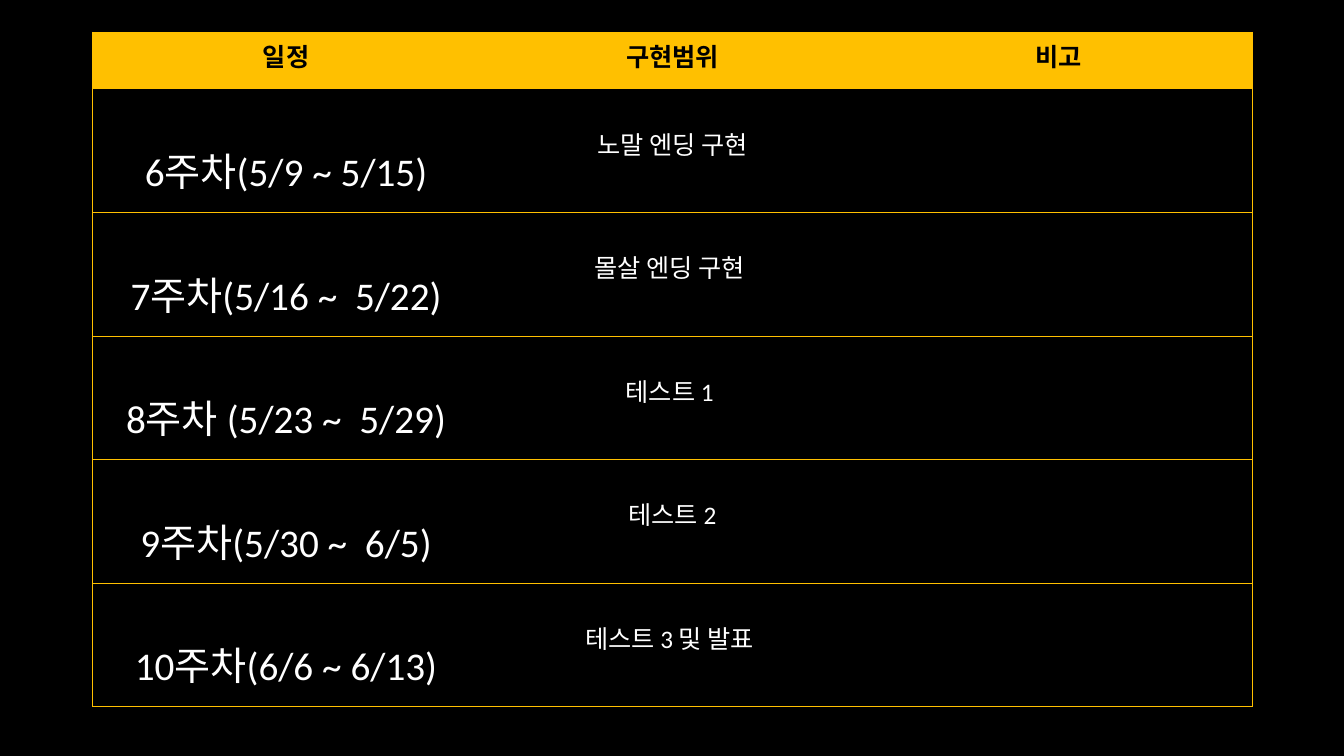
from lxml import etree
from pptx import Presentation
from pptx.dml.color import RGBColor
from pptx.enum import text
from pptx.oxml import ns
from pptx.util import Inches, Pt

GOLD, BLACK, WHITE = "FFC000", "000000", "FFFFFF"
ROWS = [
    ("일정", "구현범위", "비고"),
    ("6주차(5/9 ~ 5/15)", "노말 엔딩 구현", ""),
    ("7주차(5/16 ~  5/22)", "몰살 엔딩 구현 ", ""),
    ("8주차 (5/23 ~  5/29)", "테스트 1 ", ""),
    ("9주차(5/30 ~  6/5)", "테스트 2", ""),
    ("10주차(6/6 ~ 6/13)", "테스트 3 및 발표 ", ""),
]
COLUMN_SIZES = [28, 18, 18]
COLUMN_TOPS = [0.52, 0.36, 0.05]


def paint(fill, color):
    fill.solid()
    fill.fore_color.rgb = RGBColor.from_string(color)


def set_borders(cell, sides):
    """Draw gold hairlines on the named sides (L, R, T, B) and none on the others."""
    properties = cell._tc.get_or_add_tcPr()
    for place, side in enumerate("LRTB"):
        line = etree.Element(ns.qn("a:ln" + side), w=str(Pt(0.5)))
        if side in sides:
            solid = etree.SubElement(line, ns.qn("a:solidFill"))
            etree.SubElement(solid, ns.qn("a:srgbClr"), val=GOLD)
        else:
            etree.SubElement(line, ns.qn("a:noFill"))
        properties.insert(place, line)


deck = Presentation()
deck.slide_width, deck.slide_height = Inches(13.33), Inches(7.5)
page = deck.slides.add_slide(deck.slide_layouts[6])
paint(page.background.fill, BLACK)

frame = page.shapes.add_table(len(ROWS), 3, Inches(0.92), Inches(0.32), Inches(11.5), Inches(6.69))
schedule = frame.table
schedule.horz_banding = False
for column in schedule.columns:
    column.width = Inches(11.5 / 3)

for row, labels in enumerate(ROWS):
    header = row == 0
    schedule.rows[row].height = Inches(0.56 if header else 1.226)
    for column, label in enumerate(labels):
        cell = schedule.cell(row, column)
        paint(cell.fill, GOLD if header else BLACK)
        set_borders(cell, "TB" + ("L", "", "R")[column])
        cell.margin_top = Inches(0.05 if header else COLUMN_TOPS[column])
        para = cell.text_frame.paragraphs[0]
        para.text = label
        para.alignment = text.PP_ALIGN.CENTER
        for span in para.runs:
            span.font.name = "Calibri"
            span.font.size = Pt(18 if header else COLUMN_SIZES[column])
            span.font.bold = header
            paint(span.font.fill, BLACK if header else WHITE)

deck.save("out.pptx")
